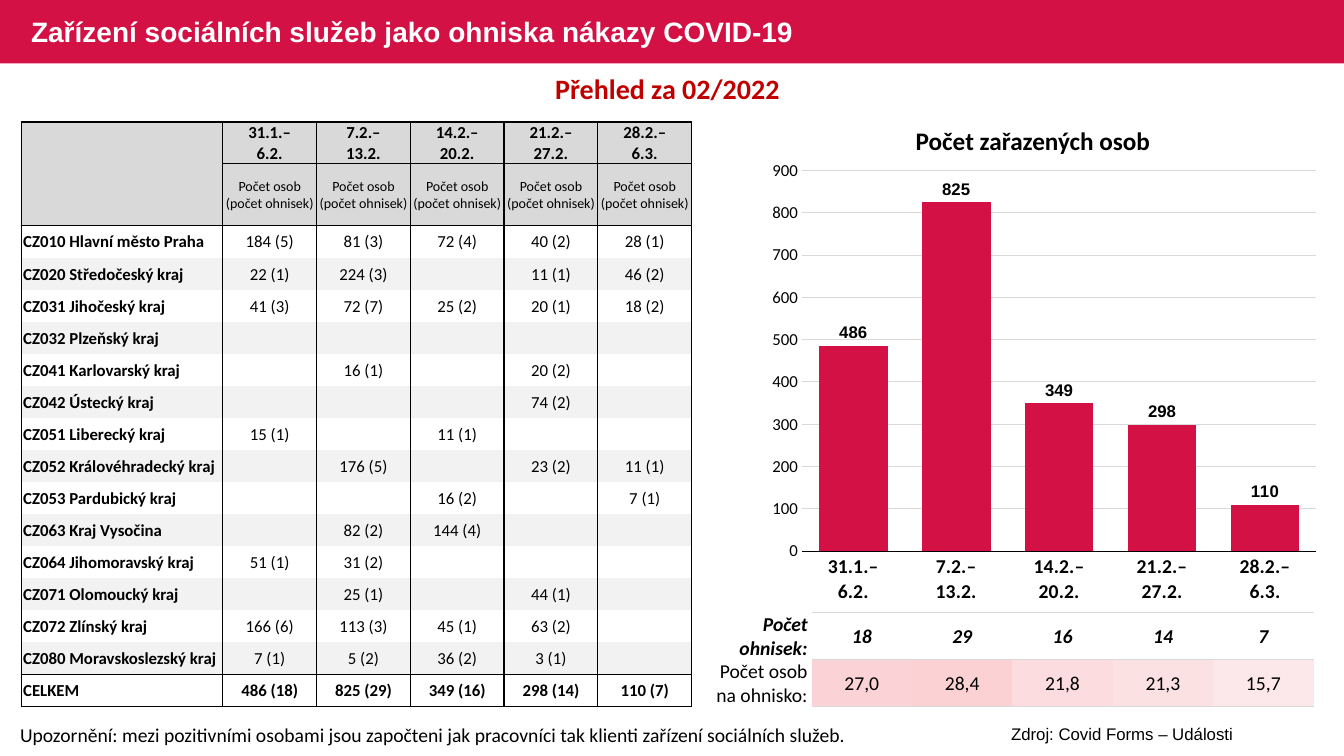
from lxml.etree import SubElement
from pptx import Presentation
from pptx.chart.data import CategoryChartData
from pptx.dml.color import RGBColor
from pptx.enum.chart import XL_CHART_TYPE, XL_LABEL_POSITION, XL_TICK_MARK
from pptx.enum.shapes import MSO_SHAPE
from pptx.enum.text import MSO_ANCHOR, PP_ALIGN
from pptx.oxml.ns import qn
from pptx.util import Inches, Pt

CRIMSON, BLACK, WHITE = "D31145", "000000", "FFFFFF"
HEADER_GRAY, BAND_GRAY, LINE_GRAY = "D9D9D9", "F2F2F2", "D9D9D9"
PLAIN_TABLE_STYLE = "{2D5ABB26-0587-4C30-8999-92F81FD0307C}"

WEEKS = ["31.1.–\n6.2.", "7.2.–\n13.2.", "14.2.–\n20.2.", "21.2.–\n27.2.", "28.2.–\n6.3."]
PERSONS = [486, 825, 349, 298, 110]
REGIONS = [
    ["CZ010 Hlavní město Praha", "184 (5)", "81 (3)", "72 (4)", "40 (2)", "28 (1)"],
    ["CZ020 Středočeský kraj", "22 (1)", "224 (3)", "", "11 (1)", "46 (2)"],
    ["CZ031 Jihočeský kraj", "41 (3)", "72 (7)", "25 (2)", "20 (1)", "18 (2)"],
    ["CZ032 Plzeňský kraj", "", "", "", "", ""],
    ["CZ041 Karlovarský kraj", "", "16 (1)", "", "20 (2)", ""],
    ["CZ042 Ústecký kraj", "", "", "", "74 (2)", ""],
    ["CZ051 Liberecký kraj", "15 (1)", "", "11 (1)", "", ""],
    ["CZ052 Královéhradecký kraj", "", "176 (5)", "", "23 (2)", "11 (1)"],
    ["CZ053 Pardubický kraj", "", "", "16 (2)", "", "7 (1)"],
    ["CZ063 Kraj Vysočina", "", "82 (2)", "144 (4)", "", ""],
    ["CZ064 Jihomoravský kraj", "51 (1)", "31 (2)", "", "", ""],
    ["CZ071 Olomoucký kraj", "", "25 (1)", "", "44 (1)", ""],
    ["CZ072 Zlínský kraj", "166 (6)", "113 (3)", "45 (1)", "63 (2)", ""],
    ["CZ080 Moravskoslezský kraj", "7 (1)", "5 (2)", "36 (2)", "3 (1)", ""],
]
TOTAL = ["CELKEM", "486 (18)", "825 (29)", "349 (16)", "298 (14)", "110 (7)"]
OUTBREAKS = ["18", "29", "16", "14", "7"]
PERSONS_PER_OUTBREAK = ["27,0", "28,4", "21,8", "21,3", "15,7"]
HEAT_COLORS = ["FBD2D5", "FBD1D4", "FCDCDF", "FCE1E3", "FCE7EA"]


def rgb(color):
    return RGBColor.from_string(color)


def style_font(font, size, color=BLACK, bold=False, italic=False, name="Calibri"):
    font.name, font.size = name, Pt(size)
    font.bold, font.italic = bold, italic
    font.color.rgb = rgb(color)


def write_paragraph(para, text, align, size, **style):
    para.text = text
    para.alignment = align
    for span in para.runs:
        style_font(span.font, size, **style)


def add_text(page, text, left, top, width, height, size, align=PP_ALIGN.LEFT, **style):
    box = page.shapes.add_textbox(Inches(left), Inches(top), Inches(width), Inches(height))
    box.text_frame.word_wrap = True
    box.text_frame.vertical_anchor = MSO_ANCHOR.MIDDLE
    write_paragraph(box.text_frame.paragraphs[0], text, align, size, **style)
    return box


def add_banner(page):
    banner = page.shapes.add_shape(MSO_SHAPE.RECTANGLE, 0, 0, Inches(13.33), Inches(0.63))
    banner.shadow.inherit = False
    banner.fill.solid()
    banner.fill.fore_color.rgb = rgb(CRIMSON)
    banner.line.fill.background()


def add_plain_table(page, left, top, widths, heights):
    frame = page.shapes.add_table(len(heights), len(widths), Inches(left), Inches(top),
                                  Inches(sum(widths)), Inches(sum(heights)))
    table = frame.table
    table.first_row = table.horz_banding = False
    table._tbl.tblPr.find(qn("a:tableStyleId")).text = PLAIN_TABLE_STYLE
    for column, width in zip(table.columns, widths):
        column.width = Inches(width)
    for row, height in zip(table.rows, heights):
        row.height = Inches(height)
    return table


def add_borders(cell, sides, color, width=1):
    properties = cell._tc.get_or_add_tcPr()
    for side in sides:
        line = SubElement(properties, qn(f"a:ln{side}"), w=str(Pt(width)))
        fill = SubElement(line, qn("a:solidFill"))
        SubElement(fill, qn("a:srgbClr"), val=color)


def fill_cell(cell, text, size, fill=None, align=PP_ALIGN.CENTER, margins=(0.01, 0.01), **style):
    cell.vertical_anchor = MSO_ANCHOR.MIDDLE
    cell.margin_left, cell.margin_right = map(Inches, margins)
    cell.margin_top, cell.margin_bottom = Inches(0.01), 0
    para = cell.text_frame.paragraphs[0]
    write_paragraph(para, text, align, size, **style)
    if not text:
        SubElement(para._p, qn("a:endParaRPr"), sz=str(size * 100))
    if fill:
        cell.fill.solid()
        cell.fill.fore_color.rgb = rgb(fill)


def add_region_table(page):
    body_rows = len(REGIONS) + 1
    heights = [0.41, 0.62] + [4.77 / body_rows] * body_rows
    table = add_plain_table(page, 0.21, 1.21, [2] + [0.93] * len(WEEKS), heights)
    headers = [[""] + WEEKS, [""] + ["Počet osob (počet ohnisek)"] * len(WEEKS)]
    rows = headers + REGIONS + [TOTAL]
    last = len(rows) - 1
    for r, texts in enumerate(rows):
        for c, text in enumerate(texts):
            cell = table.cell(r, c)
            sides = "LR"
            if r in (0, last) or (r == 1 and c > 0):
                sides += "T"
            if r in (1, last - 1, last) or (r == 0 and c > 0):
                sides += "B"
            add_borders(cell, sides, BLACK)
            if r < 2:
                fill_cell(cell, text, 12 if r == 0 else 10, HEADER_GRAY, bold=r == 0)
                continue
            fill = BAND_GRAY if r % 2 and r < last else None
            if c == 0:
                fill_cell(cell, text, 12, fill, PP_ALIGN.LEFT, (0.02, 0.02), bold=True)
            else:
                fill_cell(cell, text, 12, fill, bold=r == last)


def add_outbreak_values(page):
    table = add_plain_table(page, 8.05, 6.08, [4.98 / len(WEEKS)] * len(WEEKS), [0.93 / 2] * 2)
    rows = [(OUTBREAKS, [None] * len(WEEKS)), (PERSONS_PER_OUTBREAK, HEAT_COLORS)]
    for r, (numbers, fills) in enumerate(rows):
        for c, (number, fill) in enumerate(zip(numbers, fills)):
            add_borders(table.cell(r, c), "TB", LINE_GRAY)
            fill_cell(table.cell(r, c), number, 14, fill, bold=r == 0, italic=r == 0)


def add_outbreak_labels(page):
    table = add_plain_table(page, 7.04, 6.08, [1.01] + [0.71] * 7, [0.93 / 2] * 2)
    for r, label in enumerate(["Počet ohnisek:", "Počet osob na ohnisko:"]):
        for c in range(len(table.columns)):
            fill_cell(table.cell(r, c), "" if c else label, 14, align=PP_ALIGN.RIGHT,
                      margins=(0.01, 0.04), bold=r == 0, italic=r == 0)
            table.cell(r, c).margin_top = 0


def place_plot(chart, **layout):
    plot_area = chart._chartSpace.chart.plotArea
    holder = plot_area.find(qn("c:layout"))
    if holder is None:
        holder = SubElement(plot_area, qn("c:layout"))
        plot_area.insert(0, holder)
    manual = SubElement(holder, qn("c:manualLayout"))
    SubElement(manual, qn("c:layoutTarget"), val="inner")
    for side in "xy":
        SubElement(manual, qn(f"c:{side}Mode"), val="edge")
    for name, value in layout.items():
        SubElement(manual, qn(f"c:{name}"), val=str(value))


def add_person_chart(page):
    data = CategoryChartData()
    data.categories = WEEKS
    data.add_series("Series 1", PERSONS)
    chart = page.shapes.add_chart(XL_CHART_TYPE.COLUMN_CLUSTERED, Inches(7.56), Inches(1.51),
                                  Inches(5.61), Inches(4.55), data).chart
    chart.has_legend = chart.has_title = False
    style_font(chart.font, 14, bold=True, name="Arial")
    place_plot(chart, x=0.07, y=0.04, w=0.91, h=0.83)

    weeks, scale = chart.category_axis, chart.value_axis
    style_font(weeks.tick_labels.font, 14, bold=True)
    style_font(scale.tick_labels.font, 12)
    weeks.major_tick_mark = scale.major_tick_mark = XL_TICK_MARK.NONE
    weeks.format.line.color.rgb = rgb(BLACK)
    weeks.format.line.width = Pt(0.75)
    scale.format.line.fill.background()
    scale.minimum_scale, scale.maximum_scale, scale.major_unit = 0, 900, 100
    scale.major_gridlines.format.line.color.rgb = rgb(LINE_GRAY)
    scale.major_gridlines.format.line.width = Pt(0.75)

    plot = chart.plots[0]
    plot.gap_width = 50
    plot.vary_by_categories = False
    bars = plot.series[0].format.fill
    bars.solid()
    bars.fore_color.rgb = rgb(CRIMSON)
    plot.has_data_labels = True
    plot.data_labels.show_value = True
    plot.data_labels.position = XL_LABEL_POSITION.OUTSIDE_END
    style_font(plot.data_labels.font, 12, bold=True, name="Arial")


def main():
    deck = Presentation()
    deck.slide_width, deck.slide_height = Inches(13.33), Inches(7.5)
    page = deck.slides.add_slide(deck.slide_layouts[6])
    add_banner(page)
    add_outbreak_values(page)
    add_text(page, "Upozornění: mezi pozitivními osobami jsou započteni jak pracovníci "
             "tak klienti zařízení sociálních služeb.", 0.1, 7.12, 8.52, 0.34, 14)
    title = add_text(page, "Zařízení sociálních služeb jako ohniska nákazy COVID-19",
                     0.21, 0.02, 8.13, 0.63, 20, color=WHITE, bold=True, name="Arial")
    title.text_frame.paragraphs[0].line_spacing = 0.9
    add_text(page, "Přehled za 02/2022", 0.21, 0.66, 12.82, 0.44, 20, PP_ALIGN.CENTER,
             color="C00000", bold=True)
    add_text(page, "Zdroj: Covid Forms – Události", 9.03, 7.13, 4.2, 0.3, 12, PP_ALIGN.CENTER,
             name="Arial")
    add_region_table(page)
    add_person_chart(page)
    add_text(page, "Počet zařazených osob", 7.56, 1.19, 5.37, 0.4, 18, PP_ALIGN.CENTER, bold=True)
    add_outbreak_labels(page)
    deck.save("out.pptx")


if __name__ == "__main__":
    main()
